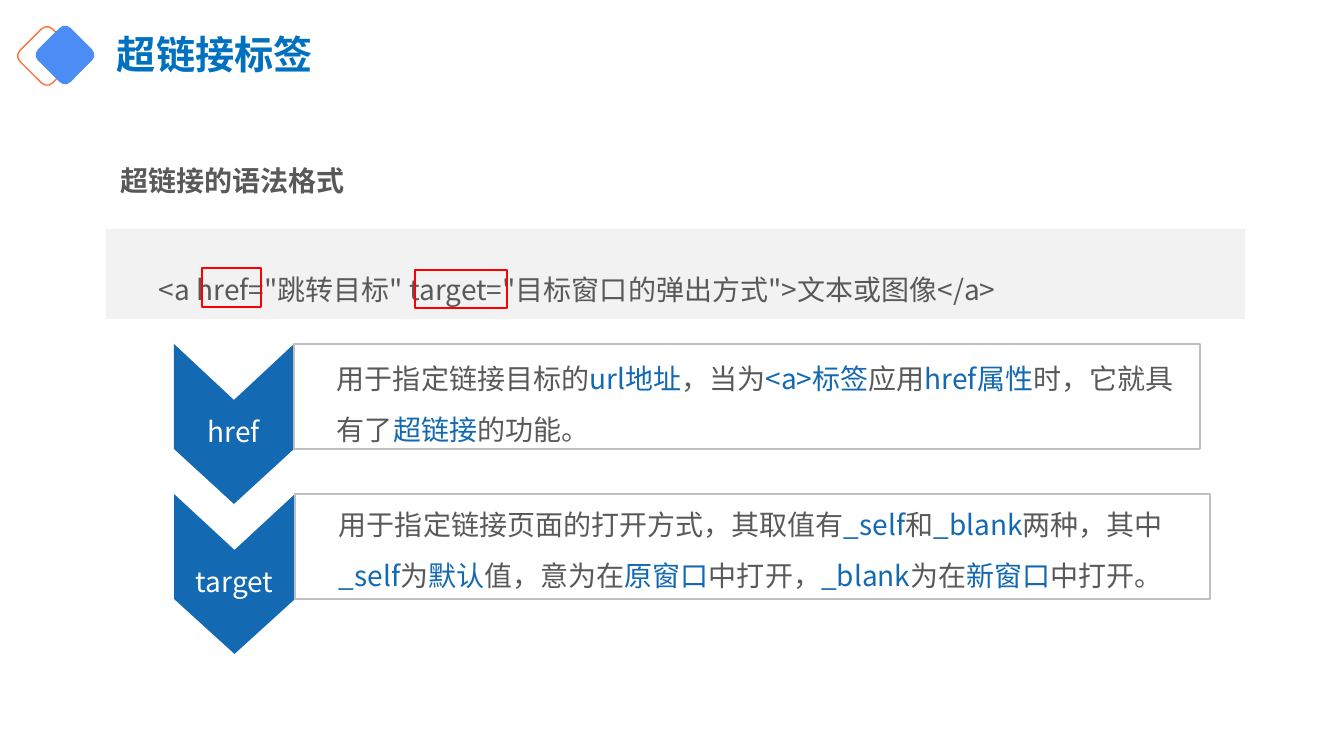
"""Build the slide on the syntax of the hyperlink tag."""
from pptx import Presentation
from pptx import util as u
from pptx.dml.color import RGBColor
from pptx.enum import shapes, text

COLORS = {"title": "0070C0", "body": "595959", "accent": "1369B2", "white": "FFFFFF",
          "band": "F2F2F2", "border": "BFBFBF", "mark": "FF0000",
          "diamond": "4C8CF5", "outline": "FD703B"}
FONT = "Noto Sans CJK SC"
PX = 914400 / 100.8
SLIDE = (1344, 756)

TITLE = ("超链接标签", (107, 17, 517, 80))
HEADING = ("超链接的语法格式", (107, 140, 874, 65))
SYNTAX = ('<a href="跳转目标" target="目标窗口的弹出方式">文本或图像</a>', (149, 251, 1071, 60))
BAND = (106, 229, 1139, 90)
MARKS = [(202, 268, 59, 39), (415, 270, 92, 38)]
DIAMONDS = [((24, 33, 46, 46), None, "outline"), ((42, 32, 46, 46), "diamond", None)]
ATTRIBUTES = [
    {"name": "href", "top": 344, "panel": (294, 906), "text": (327, 340, 857, 112),
     "note": "用于指定链接目标的*url地址*，当为*<a>标签*应用*href属性*时，它就具有了*超链接*的功能。"},
    {"name": "target", "top": 494, "panel": (295, 915), "text": (329, 486, 882, 108),
     "note": "用于指定链接页面的打开方式，其取值有*_self*和*_blank*两种，其中*_self*为*默认*值，"
             "意为在*原窗口*中打开，*_blank*为在*新窗口*中打开。"},
]
CHEVRON_LEFT, CHEVRON_HEIGHT, NOTCH, PANEL_HEIGHT = 174, 160, 56, 105


def px(*lengths):
    return [u.Emu(round(length * PX)) for length in lengths]


def color(name):
    return RGBColor.from_string(COLORS[name])


def paint(shape, fill=None, line=None):
    shape.shadow.inherit = False
    if fill:
        shape.fill.solid()
        shape.fill.fore_color.rgb = color(fill)
    else:
        shape.fill.background()
    if line:
        shape.line.color.rgb = color(line)
        shape.line.width = u.Pt(1)
    else:
        shape.line.fill.background()


def add_box(page, area, fill=None, line=None, kind=shapes.MSO_SHAPE.RECTANGLE):
    box = page.shapes.add_shape(kind, *px(*area))
    paint(box, fill, line)
    return box


def write(shape, words, tint="body", size=20, bold=False, frame=None, para=None):
    """Fill a shape with text in which asterisks enclose the accented words."""
    text_frame = shape.text_frame
    paragraph = text_frame.paragraphs[0]
    for target, values in ((text_frame, {"word_wrap": True, **(frame or {})}),
                           (paragraph, para or {})):
        for key, value in values.items():
            setattr(target, key, value)
    for index, words_part in enumerate(words.split("*")):
        span = paragraph.add_run()
        span.text = words_part
        for key, value in {"name": FONT, "size": u.Pt(size), "bold": bold}.items():
            setattr(span.font, key, value)
        span.font.color.rgb = color("accent" if index % 2 else tint)


def add_text(page, content, **style):
    words, area = content
    write(page.shapes.add_textbox(*px(*area)), words, **style)


def add_chevron(page, name, top, right):
    middle = (CHEVRON_LEFT + right) / 2
    shoulder = top + PANEL_HEIGHT
    points = [(right, top), (right, shoulder), (middle, top + CHEVRON_HEIGHT),
              (CHEVRON_LEFT, shoulder), (CHEVRON_LEFT, top), (middle, top + NOTCH)]
    corners = [px(*point) for point in points]
    outline = page.shapes.build_freeform(*corners[0])
    outline.add_line_segments(corners[1:], close=True)
    chevron = outline.convert_to_shape()
    paint(chevron, "accent")
    side, above, below = px(10, 20, 5)
    write(chevron, name, tint="white", para={"alignment": text.PP_ALIGN.CENTER},
          frame={"vertical_anchor": text.MSO_ANCHOR.MIDDLE, "margin_left": side,
                 "margin_right": side, "margin_top": above, "margin_bottom": below})


def main():
    deck = Presentation()
    deck.slide_width, deck.slide_height = px(*SLIDE)
    page = deck.slides.add_slide(deck.slide_layouts[6])
    for area, fill, line in DIAMONDS:
        add_box(page, area, fill, line, shapes.MSO_SHAPE.ROUNDED_RECTANGLE).rotation = 45
    add_text(page, TITLE, tint="title", size=28, bold=True, para={"line_spacing": 0.9},
             frame={"vertical_anchor": text.MSO_ANCHOR.MIDDLE})
    add_box(page, BAND, "band")
    spaced = {"line_spacing": 1.5}
    add_text(page, SYNTAX, para=spaced)
    side, edge = px(13, 7)
    add_text(page, HEADING, bold=True, para={**spaced, "alignment": text.PP_ALIGN.JUSTIFY},
             frame={"margin_left": side, "margin_right": side,
                    "margin_top": edge, "margin_bottom": edge})
    for item in ATTRIBUTES:
        left, width = item["panel"]
        add_chevron(page, item["name"], item["top"], left)
        add_box(page, (left, item["top"], width, PANEL_HEIGHT), line="border")
        add_text(page, (item["note"], item["text"]), para=spaced)
    for area in MARKS:
        add_box(page, area, line="mark")
    deck.save("out.pptx")


if __name__ == "__main__":
    main()
